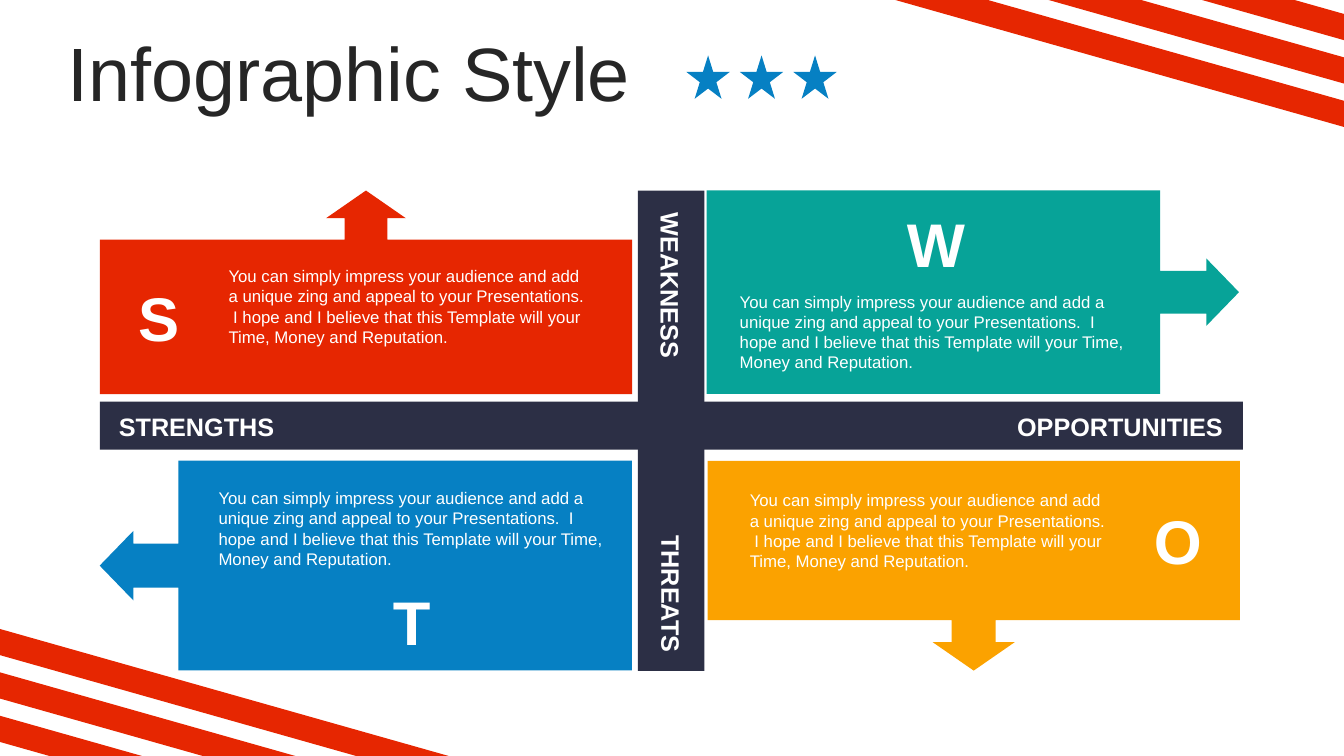
"""Build a SWOT infographic slide with callout arrows and striped corners."""
from dataclasses import dataclass

from pptx import Presentation
from pptx.dml.color import RGBColor
from pptx.enum.shapes import MSO_SHAPE
from pptx.enum.text import MSO_ANCHOR, PP_ALIGN
from pptx.shapes.autoshape import Shape
from pptx.slide import Slide
from pptx.util import Pt

WIDTH, HEIGHT = 960, 540
RED, BLUE, GREEN, ORANGE = "E62601", "0680C3", "07A398", "FBA200"
NAVY, WHITE, CHARCOAL = "2C2F45", "FFFFFF", "262626"
BODY = (
    "You can simply impress your audience and add a unique zing and appeal to your "
    "Presentations.  I hope and I believe that this Template will your Time, Money and Reputation."
)
STRIPE_TOPS = (449.3, 480.3, 511.3)
STRIPE_HEIGHT, STRIPE_SLOPE = 18.7, 0.283
STAR_LEFT, STAR_TOP, STAR_SIZE, STAR_STEP = 490.3, 39.6, 31, 38.2
UPRIGHT = (0.21, 0.196, 0.136, 0.759)
SIDEWAYS = (0.21, 0.166, 0.161, 0.852)


@dataclass(frozen=True)
class Block:
    """A filled preset shape."""

    kind: MSO_SHAPE
    left: float
    top: float
    width: float
    height: float
    color: str
    rotation: float = 0
    adjustments: tuple[float, ...] = ()


@dataclass(frozen=True)
class Label:
    """A text box with one paragraph."""

    text: str
    left: float
    top: float
    width: float
    height: float
    size: float
    bold: bool = False
    color: str = WHITE
    align: PP_ALIGN = PP_ALIGN.LEFT
    anchor: MSO_ANCHOR = MSO_ANCHOR.TOP
    spacing: float = 1
    rotation: float = 0


CALLOUT = MSO_SHAPE.UP_ARROW_CALLOUT
BLOCKS = [
    *(
        Block(MSO_SHAPE.STAR_5_POINT, STAR_LEFT + index * STAR_STEP, STAR_TOP, STAR_SIZE, STAR_SIZE, BLUE)
        for index in range(3)
    ),
    Block(CALLOUT, 71.3, 136.1, 380.2, 145.4, RED, 0, UPRIGHT),
    Block(MSO_SHAPE.RECTANGLE, 455.7, 136.1, 47.5, 343.2, NAVY),
    Block(MSO_SHAPE.RECTANGLE, 71.3, 286.9, 816.5, 34.2, NAVY),
    Block(CALLOUT, 505.4, 329.2, 380.2, 149.8, ORANGE, 180, UPRIGHT),
    Block(CALLOUT, 622.2, 18.6, 145.4, 380.2, GREEN, 90, SIDEWAYS),
    Block(CALLOUT, 186.4, 213.9, 149.8, 380.2, BLUE, 270, SIDEWAYS),
]


def heading(text: str, left: float, top: float, width: float, **extra) -> Label:
    """Describe a bold axis heading."""
    return Label(text, left, top, width, 29, 18, True, **extra)


def body(left: float, top: float, width: float) -> Label:
    """Describe the explanation inside a callout."""
    return Label(BODY, left, top, width, 65.4, 12)


def initial(text: str, left: float, top: float) -> Label:
    """Describe the large letter inside a callout."""
    return Label(text, left, top, 49.6, 60.6, 44, True, align=PP_ALIGN.CENTER)


LABELS = [
    Label("Infographic Style", 41, 26.6, 869.8, 56.9, 54, color=CHARCOAL,
          anchor=MSO_ANCHOR.MIDDLE, spacing=0.9),
    heading("STRENGTHS", 77.8, 290.3, 147.6),
    heading("WEAKNESS", 410.4, 198.7, 136.8, rotation=90),
    heading("OPPORTUNITIES", 694.8, 290.3, 185.8, align=PP_ALIGN.RIGHT),
    heading("THREATS", 418.3, 397.4, 122.4, align=PP_ALIGN.RIGHT, rotation=90),
    body(156.2, 186.5, 269.3),
    body(521.3, 204.5, 289.4),
    body(528.5, 346.5, 269.3),
    body(149, 345, 289.4),
    initial("S", 88.6, 196.6),
    initial("W", 640.8, 143.3),
    initial("O", 816.5, 355.7),
    initial("T", 269.3, 413.3),
]


def rgb(color: str) -> RGBColor:
    """Turn a hex string into a colour."""
    return RGBColor.from_string(color)


def paint(shape: Shape, color: str) -> None:
    """Give a shape a plain fill without outline or shadow."""
    shape.shadow.inherit = False
    shape.fill.solid()
    shape.fill.fore_color.rgb = rgb(color)
    shape.line.fill.background()


def draw_stripes(page: Slide, turned: bool) -> None:
    """Draw the corner stripes at bottom left, or turned to top right."""
    contours = []
    for top in STRIPE_TOPS:
        bottom = top + STRIPE_HEIGHT
        corners = [
            (0, top),
            ((HEIGHT - top) / STRIPE_SLOPE, HEIGHT),
            ((HEIGHT - bottom) / STRIPE_SLOPE, HEIGHT),
            (0, bottom),
        ]
        if turned:
            corners = [(WIDTH - x, HEIGHT - y) for x, y in corners]
        contours.append([(Pt(x), Pt(y)) for x, y in corners])
    builder = page.shapes.build_freeform(*contours[0][0])
    for index, (start, *others) in enumerate(contours):
        if index:
            builder.move_to(*start)
        builder.add_line_segments(others, close=True)
    paint(builder.convert_to_shape(), RED)


def draw_block(page: Slide, block: Block) -> None:
    """Draw a preset shape."""
    shape = page.shapes.add_shape(
        block.kind, Pt(block.left), Pt(block.top), Pt(block.width), Pt(block.height)
    )
    for index, value in enumerate(block.adjustments):
        shape.adjustments[index] = value
    shape.rotation = block.rotation
    paint(shape, block.color)


def draw_label(page: Slide, label: Label) -> None:
    """Draw a text box."""
    box = page.shapes.add_textbox(
        Pt(label.left), Pt(label.top), Pt(label.width), Pt(label.height)
    )
    box.rotation = label.rotation
    frame = box.text_frame
    frame.word_wrap = True
    frame.vertical_anchor = label.anchor
    para = frame.paragraphs[0]
    para.alignment = label.align
    para.line_spacing = label.spacing
    span = para.add_run()
    span.text = label.text
    formats = {"name": "Arial", "size": Pt(label.size), "bold": label.bold}
    for name, value in formats.items():
        setattr(span.font, name, value)
    span.font.color.rgb = rgb(label.color)


def main() -> None:
    """Build and save the deck."""
    deck = Presentation()
    deck.slide_width, deck.slide_height = Pt(WIDTH), Pt(HEIGHT)
    page = deck.slides.add_slide(deck.slide_layouts[6])
    for turned in (False, True):
        draw_stripes(page, turned)
    for block in BLOCKS:
        draw_block(page, block)
    for label in LABELS:
        draw_label(page, label)
    deck.save("out.pptx")


if __name__ == "__main__":
    main()
